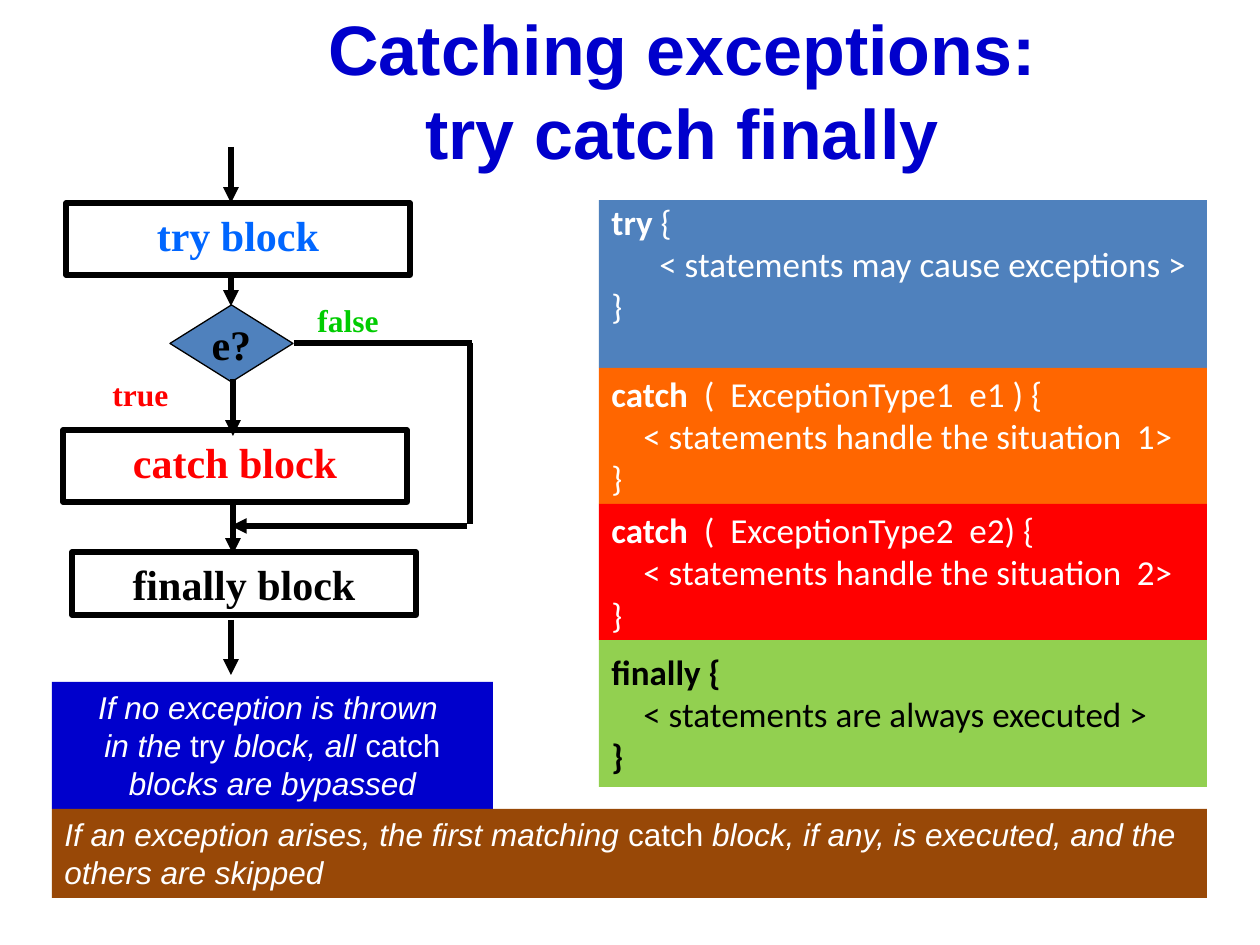
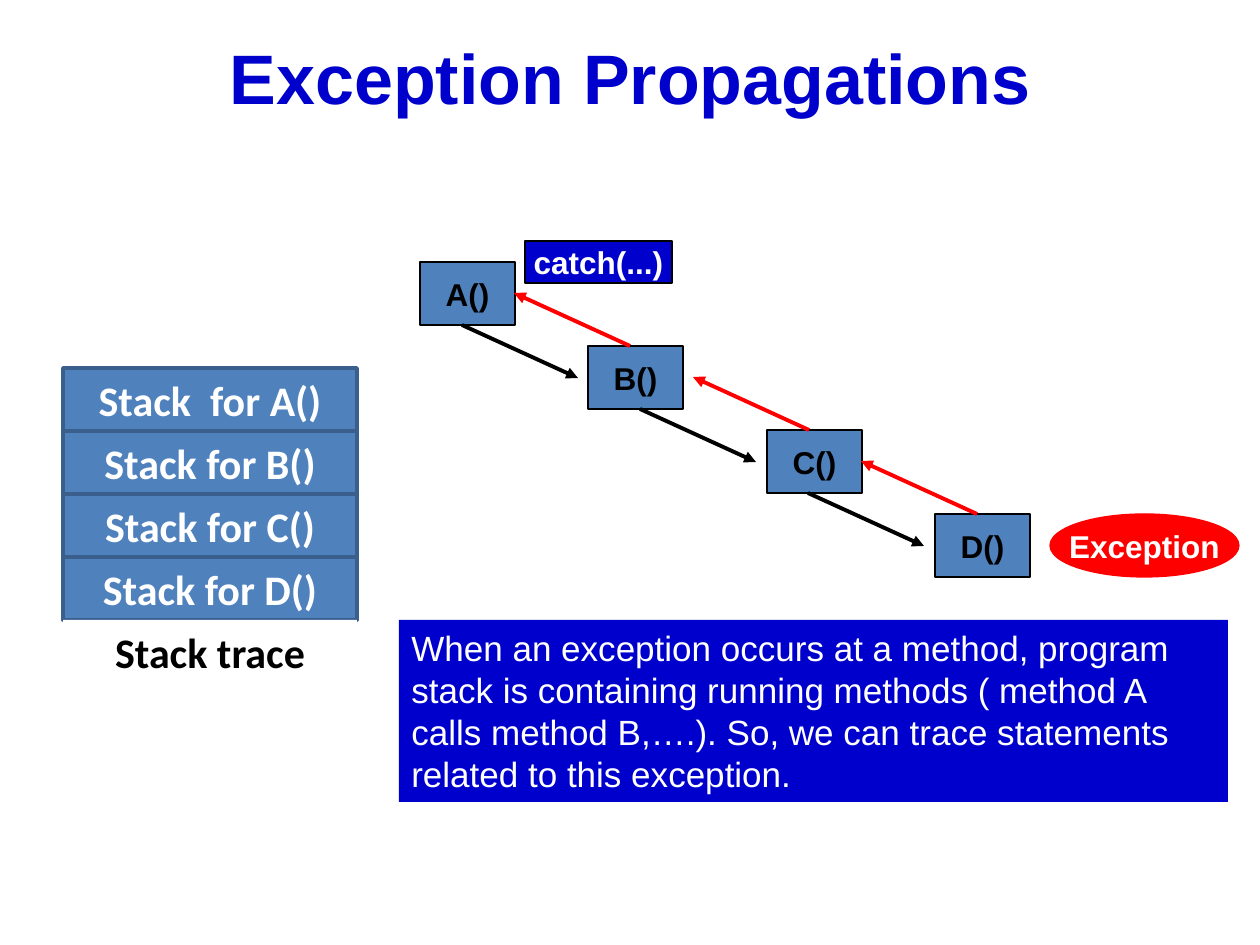
from copy import deepcopy
from dataclasses import dataclass

from lxml import etree
from pptx import Presentation
from pptx import util as u
from pptx.dml.color import RGBColor
from pptx.enum import shapes, text
from pptx.oxml.ns import qn


@dataclass(frozen=True)
class Theme:
    """Colours, fonts and type sizes of the deck."""
    blue: str = "0000CC"
    steel: str = "4F81BD"
    steel_edge: str = "3A5F8C"
    orange: str = "FF6600"
    red: str = "FF0000"
    lime: str = "92D050"
    brown: str = "984807"
    sky: str = "0066FF"
    green: str = "00CC00"
    black: str = "000000"
    white: str = "FFFFFF"
    sans: str = "Arial"
    code: str = "Calibri"
    serif: str = "Times New Roman"
    title: int = 40
    large: int = 24
    medium: int = 20
    small: int = 18


T = Theme()
EMU_PER_PIXEL = 914400 / 126
SHAPE = shapes.MSO_SHAPE
ANCHOR = text.MSO_ANCHOR
CENTER = text.PP_ALIGN.CENTER

# Content. A paragraph is a list of (text, style) runs: b bold, i italic.
FLOW_TITLE = "Catching exceptions:\vtry catch finally"
FLOW_BOXES = [  # text, colour, left, top, height
    ("try block", T.sky, 66, 203, 72),
    ("catch block", T.red, 63, 430, 72),
    ("finally block", T.black, 72, 552, 63),
]
FLOW_BOX_WIDTH = 344
DECISION = ("e?", (170, 305, 123, 77))
BRANCH_LABELS = [
    ("false", T.green, (305, 295, 161, 53)),
    ("true", T.red, (100, 369, 161, 50)),
]
FLOW_ARROWS = [
    (231, 147, 231, 203), (231, 273, 231, 306), (233, 379, 233, 436),
    (233, 500, 233, 554), (231, 620, 231, 675), (467, 526, 231, 526),
]
BYPASS_LINES = [(294, 343, 472, 343), (470, 343, 470, 524)]

CODE_LEFT, CODE_TOP, CODE_WIDTH = 599, 200, 608
CODE_BLOCKS = [  # height, fill, font colour, body indent, header, body, close
    (168, T.steel, T.white, 48, [("try ", "b"), ("{", "")],
     "< statements may cause exceptions >", ""),
    (136, T.orange, T.white, 32, [("catch", "b"), ("  (  ExceptionType1  e1 ) {", "")],
     "< statements handle the situation  1>", ""),
    (136, T.red, T.white, 32, [("catch", "b"), ("  (  ExceptionType2  e2) {", "")],
     "< statements handle the situation  2>", ""),
    (147, T.lime, T.black, 32, [("finally {", "b")],
     "< statements are always executed >", "b"),
]
FLOW_NOTES = [
    (T.blue, (52, 682, 441, 127), CENTER, [
        [("If no exception is thrown ", "i")],
        [("in the ", "i"), ("try ", ""), ("block, all ", "i"), ("catch ", ""),
         ("blocks are bypassed", "i")]]),
    (T.brown, (52, 809, 1155, 89), None, [
        [("If an exception arises, the first matching ", "i"), ("catch ", ""),
         ("block, if any, is executed, and the others are skipped", "i")]]),
]

CHAIN_TITLE = "Exception Propagations"
METHODS = [("A()", 420), ("B()", 588), ("C()", 767), ("D()", 935)]
METHOD_TOP, METHOD_STEP, METHOD_WIDTH, METHOD_HEIGHT = 262, 84, 95, 63
CALL_LEFTS = [462, 640, 808]
THROW_LEFTS = [514, 693, 861]
ARROW_WIDTH, ARROW_HEIGHT = 116, 53
CATCH_TAG = ("catch(...)", (525, 241, 147, 42))
EXCEPTION_TAG = ("Exception", (1050, 514, 189, 63))
STACK = ["Stack  for A()", "Stack for B()", "Stack for C()", "Stack for D()"]
STACK_CAPTION = "Stack trace"
STACK_LEFT, STACK_TOP, STACK_WIDTH, STACK_STEP = 63, 368, 294, 63
CHAIN_NOTE = (
    "When an exception occurs at a method, program stack is containing running "
    "methods ( method A calls method B,\u2026.). So, we can trace statements "
    "related to this exception.")


def px(length):
    """Turn pixels into EMU."""
    return u.Emu(round(length * EMU_PER_PIXEL))


def write(frame, paragraphs, *, font=T.sans, size=T.small, color=T.black,
          bold=False, align=None, anchor=ANCHOR.MIDDLE, wrap=True, indents=()):
    """Fill a text frame with a string or with lists of styled runs."""
    if isinstance(paragraphs, str):
        paragraphs = [[(paragraphs, "b" if bold else "")]]
    frame.word_wrap = wrap
    frame.auto_size = text.MSO_AUTO_SIZE.NONE
    frame.vertical_anchor = anchor
    for index, runs in enumerate(paragraphs):
        paragraph = frame.paragraphs[0] if index == 0 else frame.add_paragraph()
        paragraph.alignment = align or text.PP_ALIGN.LEFT
        if index < len(indents) and indents[index]:
            paragraph._p.get_or_add_pPr().set("marL", str(px(indents[index])))
        for words, style in runs:
            for number, line in enumerate(words.split("\v")):
                if number:
                    paragraph.add_line_break()
                run = paragraph.add_run()
                run.text = line
                run.font.name = font
                run.font.size = u.Pt(size)
                run.font.color.rgb = RGBColor.from_string(color)
                run.font.bold = "b" in style
                run.font.italic = "i" in style
        for line_break in paragraph._p.findall(qn("a:br")):
            line_break.insert(0, deepcopy(run._r.rPr))


def add_box(slide, box, words, *, kind=SHAPE.RECTANGLE, fill=None, line=None,
            line_width=0.75, **text_format):
    """Add a preset shape with its text."""
    shape = slide.shapes.add_shape(kind, *map(px, box))
    shape.shadow.inherit = False
    if fill:
        shape.fill.solid()
        shape.fill.fore_color.rgb = RGBColor.from_string(fill)
    else:
        shape.fill.background()
    if line:
        shape.line.color.rgb = RGBColor.from_string(line)
        shape.line.width = u.Pt(line_width)
    else:
        shape.line.fill.background()
    write(shape.text_frame, words, **text_format)
    return shape


def add_line(slide, ends, *, color=T.black, width=3, arrow="tailEnd"):
    """Add a straight line, with a triangle at its headEnd or tailEnd."""
    connector = slide.shapes.add_connector(
        shapes.MSO_CONNECTOR.STRAIGHT, *map(px, ends))
    connector.line.color.rgb = RGBColor.from_string(color)
    connector.line.width = u.Pt(width)
    if arrow:
        line = connector.line._get_or_add_ln()
        etree.SubElement(line, qn(f"a:{arrow}"), type="triangle")
    etree.SubElement(connector._element.spPr, qn("a:effectLst"))


def add_titled_slide(presentation, title, box):
    """Add a slide whose title placeholder has the shared title style."""
    slide = presentation.slides.add_slide(presentation.slide_layouts[5])
    shape = slide.shapes.title
    shape.left, shape.top, shape.width, shape.height = map(px, box)
    write(shape.text_frame, title, size=T.title, color=T.blue, bold=True,
          align=CENTER)
    return slide


def add_code_blocks(slide):
    """Stack the code blocks in one column."""
    top = CODE_TOP
    for height, fill, color, indent, header, body, closing in CODE_BLOCKS:
        first = top == CODE_TOP
        shape = add_box(
            slide, (CODE_LEFT, top, CODE_WIDTH, height),
            [header, [(body, "")], [("}", closing)]], fill=fill, color=color,
            font=T.code, size=T.medium, indents=(0, indent),
            anchor=ANCHOR.TOP if first else ANCHOR.MIDDLE)
        if first:
            shape.text_frame.margin_top = 0
        top += height


def add_flowchart(slide):
    """Draw the flow from try through catch to finally."""
    flow = dict(font=T.serif, bold=True)
    for words, color, left, top, height in FLOW_BOXES:
        add_box(slide, (left, top, FLOW_BOX_WIDTH, height), words,
                line=T.black, line_width=3, color=color, size=T.large,
                align=CENTER, anchor=ANCHOR.TOP, **flow)
    words, box = DECISION
    add_box(slide, box, words, kind=SHAPE.DIAMOND, fill=T.steel, line=T.black,
            size=T.large, align=CENTER, wrap=False, **flow)
    for words, color, box in BRANCH_LABELS:
        label = slide.shapes.add_textbox(*map(px, box))
        write(label.text_frame, words, color=color, anchor=ANCHOR.TOP, **flow)
    for ends in FLOW_ARROWS:
        add_line(slide, ends)
    for ends in BYPASS_LINES:
        add_line(slide, ends, arrow=None)


def build_flow_slide(presentation):
    """Build the try, catch, finally slide."""
    slide = add_titled_slide(presentation, FLOW_TITLE, (199, 0, 966, 179))
    add_code_blocks(slide)
    add_flowchart(slide)
    for fill, box, align, paragraphs in FLOW_NOTES:
        add_box(slide, box, paragraphs, fill=fill, color=T.white, align=align,
                anchor=ANCHOR.TOP)


def add_call_chain(slide):
    """Draw the methods as stairs, with calls down and exceptions up."""
    tag = dict(bold=True, align=CENTER, wrap=False)
    for step, (words, left) in enumerate(METHODS):
        add_box(slide, (left, METHOD_TOP + step * METHOD_STEP, METHOD_WIDTH,
                        METHOD_HEIGHT), words, fill=T.steel, line=T.black, **tag)
    words, box = EXCEPTION_TAG
    add_box(slide, box, words, kind=SHAPE.OVAL, fill=T.red, line=T.red,
            color=T.white, **tag)
    routes = [(CALL_LEFTS, METHOD_HEIGHT, T.black, "tailEnd"),
              (THROW_LEFTS, METHOD_HEIGHT // 2, T.red, "headEnd")]
    for lefts, drop, color, arrow in routes:
        for step, left in enumerate(lefts):
            top = METHOD_TOP + step * METHOD_STEP + drop
            add_line(slide, (left, top, left + ARROW_WIDTH, top + ARROW_HEIGHT),
                     color=color, width=2.25, arrow=arrow)
    words, box = CATCH_TAG
    add_box(slide, box, words, fill=T.blue, line=T.black, color=T.white, **tag)


def add_stack(slide):
    """Draw the stack frames with their caption below."""
    style = dict(font=T.code, size=T.large, bold=True, align=CENTER)
    for row, words in enumerate(STACK + [STACK_CAPTION]):
        box = (STACK_LEFT, STACK_TOP + row * STACK_STEP, STACK_WIDTH, STACK_STEP)
        if row < len(STACK):
            add_box(slide, box, words, fill=T.steel, line=T.steel_edge,
                    line_width=2, color=T.white, **style)
        else:
            add_box(slide, box, words, fill=T.white, **style)


def build_chain_slide(presentation):
    """Build the exception propagation slide."""
    slide = add_titled_slide(presentation, CHAIN_TITLE, (63, 28, 1134, 98))
    add_call_chain(slide)
    add_stack(slide)
    add_box(slide, (399, 620, 829, 182), CHAIN_NOTE, fill=T.blue,
            color=T.white, size=T.medium, anchor=ANCHOR.TOP)


def main():
    """Build and save the deck."""
    presentation = Presentation()
    presentation.slide_width, presentation.slide_height = px(1260), px(945)
    build_flow_slide(presentation)
    build_chain_slide(presentation)
    presentation.save("out.pptx")


main()
